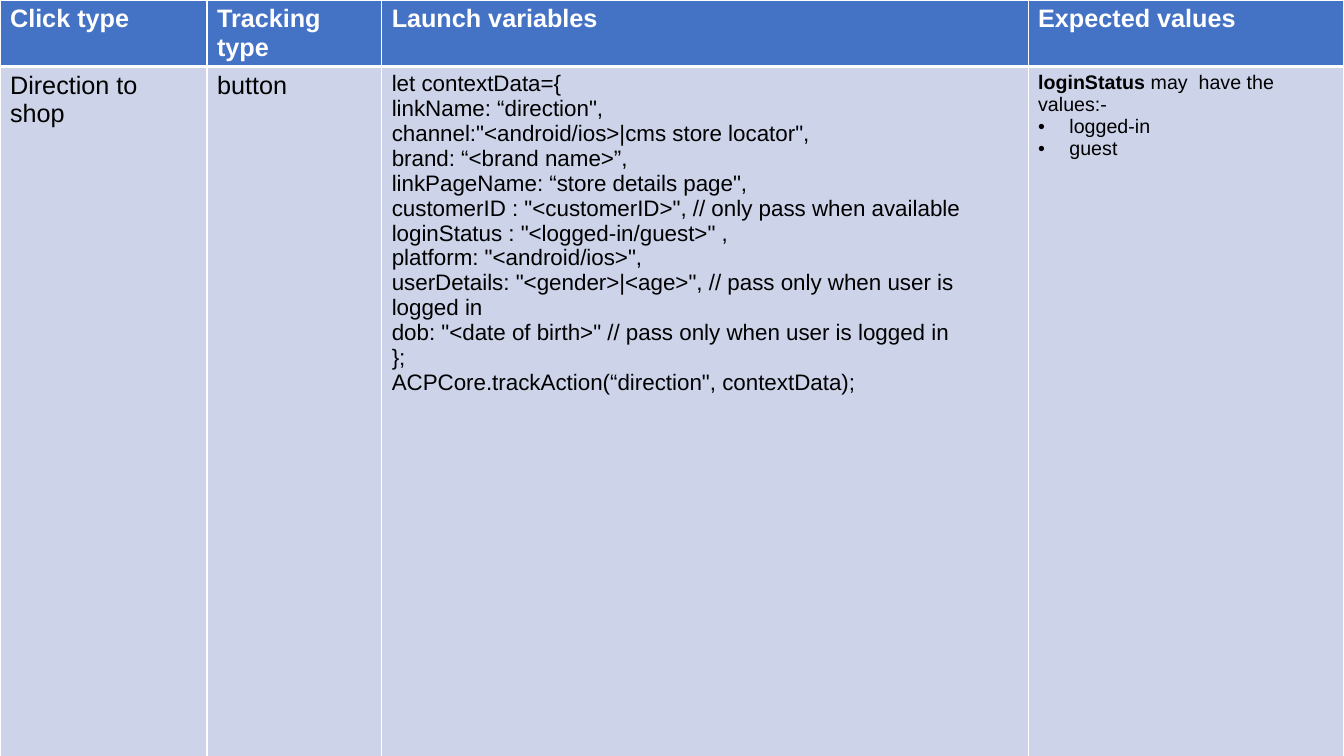
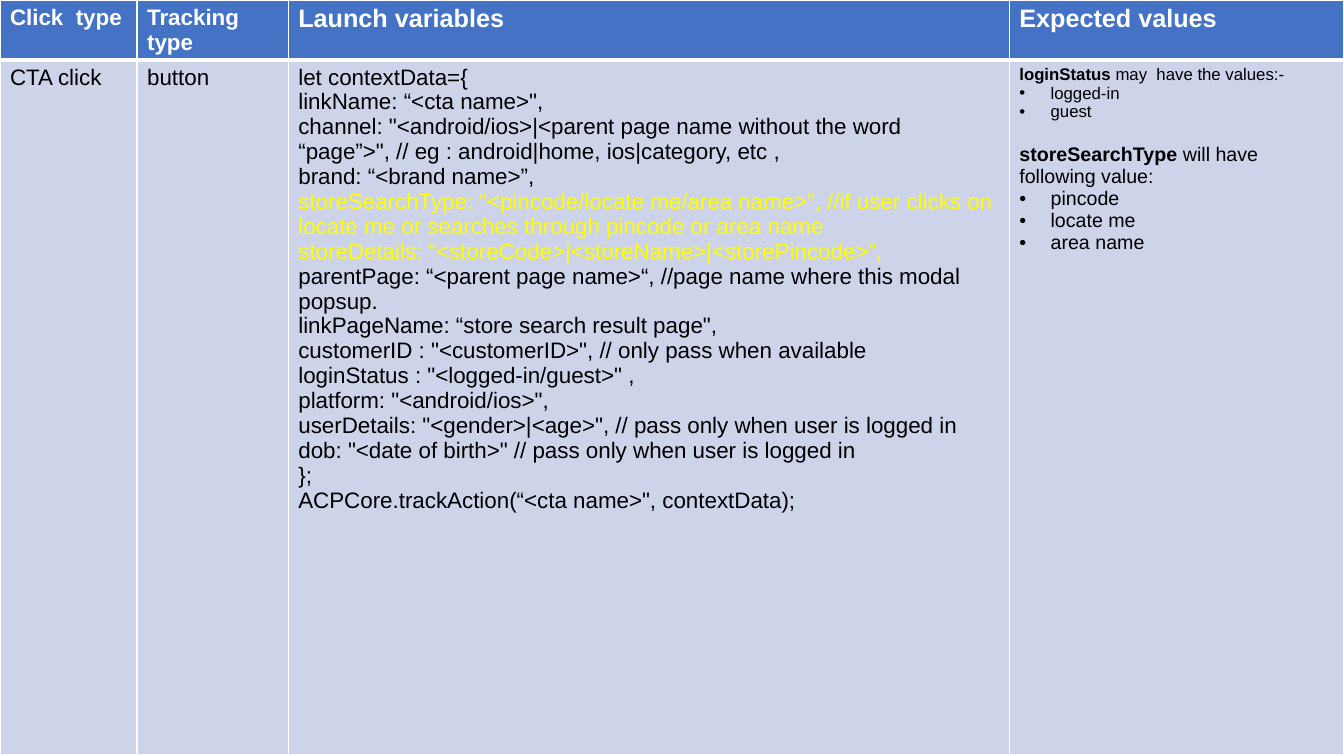
"""Build two slides of click-tracking specifications, each a full-slide table."""
from dataclasses import dataclass

from lxml import etree
from pptx import Presentation, util as u
from pptx.dml.color import RGBColor
from pptx.oxml.ns import qn


@dataclass(frozen=True)
class Theme:
    font: str = "Arial"
    header: str = "4472C4"
    body: str = "CDD4EA"
    white: str = "FFFFFF"
    ink: str = "000000"
    highlight: str = "FFFF00"
    large: int = 18
    normal: int = 16
    small: int = 14
    tiny: int = 12
    thin: int = 1
    thick: int = 3


@dataclass(frozen=True)
class Line:
    text: str
    size: int
    color: str = "000000"
    lead: str = ""
    bold: bool = False
    bullet: bool = False
    before: int = 0


T = Theme()
WIDTH, HEIGHT = u.Inches(13.33), u.Inches(7.5)
ROW_SHARES = (0.072, 0.9187)
INDENT = u.Inches(0.31)
HEADINGS = ("Tracking type", "Launch variables", "Expected values")

USER_CODE = (
    'customerID : "<customerID>", // only pass when available',
    'loginStatus : "<logged-in/guest>" ,',
    'platform: "<android/ios>",',
    'userDetails: "<gender>|<age>", // pass only when user is logged in',
    'dob: "<date of birth>" // pass only when user is logged in',
    "};",
)
DIRECTION_CODE = (
    "let contextData={",
    'linkName: “direction",',
    'channel:"<android/ios>|cms store locator",',
    "brand: “<brand name>”,",
    'linkPageName: “store details page",',
    *USER_CODE,
    'ACPCore.trackAction(“direction", contextData);',
)
CTA_CODE = (
    "let contextData={",
    'linkName: “<cta name>",',
    'channel: "<android/ios>|<parent page name without the word “page”>", '
    "// eg : android|home, ios|category, etc ,",
    "brand: “<brand name>”,",
    "storeSearchType: “<pincode/locate me/area name>”, //if user clicks on "
    "locate me or searches through pincode or area name",
    "storeDetails: “<storeCode>|<storeName>|<storePincode>”,",
    "parentPage: “<parent page name>“, //page name where this modal popsup.",
    'linkPageName: “store search result page",',
    *USER_CODE,
    'ACPCore.trackAction(“<cta name>", contextData);',
)


def headings(first, sizes):
    """Return the header row, one bold white line per cell."""
    return [[Line(text, size, T.white, bold=True)]
            for text, size in zip((first, *HEADINGS), sizes)]


def code(lines):
    """Return code lines, with the store fields highlighted."""
    store = ("storeSearchType", "storeDetails")
    return [Line(text, T.normal, T.highlight if text.startswith(store) else T.ink)
            for text in lines]


def values(lead, text, items, size, before=0):
    """Return a line with a bold lead, followed by bulleted values."""
    return [Line(text, size, lead=lead, before=before),
            *(Line(item, size, bullet=True) for item in items)]


def add_bullet(p):
    """Give a paragraph a hanging bullet in the text colour."""
    pPr = p._p.get_or_add_pPr()
    pPr.set("marL", str(INDENT))
    pPr.set("indent", str(-INDENT))
    color = etree.SubElement(pPr, qn("a:buClr"))
    etree.SubElement(color, qn("a:srgbClr"), val=T.ink)
    etree.SubElement(pPr, qn("a:buFont"), typeface=T.font)
    etree.SubElement(pPr, qn("a:buChar"), char="•")


def add_run(p, line, text, bold):
    """Append a formatted run to a paragraph."""
    r = p.add_run()
    r.text = text
    style = {"name": T.font, "size": u.Pt(line.size), "bold": bold}
    for name, value in style.items():
        setattr(r.font, name, value)
    r.font.color.rgb = RGBColor.from_string(line.color)


def write_lines(tf, lines):
    """Write one paragraph per line into a text frame."""
    for i, line in enumerate(lines):
        p = tf.add_paragraph() if i else tf.paragraphs[0]
        if line.before:
            p.space_before = u.Pt(line.before)
        if line.bullet:
            add_bullet(p)
        if line.lead:
            add_run(p, line, line.lead, True)
        add_run(p, line, line.text, line.bold)


def set_borders(cell, widths):
    """Draw white borders, given as a dict of side to width in points."""
    tcPr = cell._tc.get_or_add_tcPr()
    for i, (side, width) in enumerate(widths.items()):
        ln = etree.Element(qn(f"a:ln{side}"), w=str(u.Pt(width)))
        fill = etree.SubElement(ln, qn("a:solidFill"))
        etree.SubElement(fill, qn("a:srgbClr"), val=T.white)
        tcPr.insert(i, ln)


def add_spec_slide(prs, col_shares, rows):
    """Add a slide filled by a header row and one specification row."""
    s = prs.slides.add_slide(prs.slide_layouts[6])
    frame = s.shapes.add_table(len(rows), len(col_shares), 0, 0, WIDTH, HEIGHT)
    table = frame.table
    for column, share in zip(table.columns, col_shares):
        column.width = int(WIDTH * share / 100)
    for row, share in zip(table.rows, ROW_SHARES):
        row.height = int(HEIGHT * share)
    fills = (T.header, T.body)
    edges = ({"T": T.thin, "B": T.thick}, {"T": T.thick, "B": T.thin})
    for i, row in enumerate(rows):
        for j, lines in enumerate(row):
            cell = table.cell(i, j)
            cell.fill.solid()
            cell.fill.fore_color.rgb = RGBColor.from_string(fills[i])
            set_borders(cell, {"L": T.thin, "R": T.thin, **edges[i]})
            write_lines(cell.text_frame, lines)


def main():
    """Build and save the presentation."""
    prs = Presentation()
    prs.slide_width, prs.slide_height = WIDTH, HEIGHT
    login = ("loginStatus ", "may  have the values:-", ("logged-in", "guest"))
    search = ("storeSearchType", " will have following value:",
              ("pincode", "locate me", "area name"))
    add_spec_slide(prs, (15.4, 13, 48.1, 23.5), [
        headings("Click type", [T.large] * 4),
        [[Line("Direction to shop", T.large)], [Line("button", T.large)],
         code(DIRECTION_CODE), values(*login, T.small)],
    ])
    add_spec_slide(prs, (10.2, 11.25, 53.65, 24.9), [
        headings("Click  type", [T.normal] * 2 + [T.large] * 2),
        [[Line("CTA click", T.normal)], [Line("button", T.normal)],
         code(CTA_CODE),
         values(*login, T.tiny) + values(*search, T.small, before=16)],
    ])
    prs.save("out.pptx")


if __name__ == "__main__":
    main()
